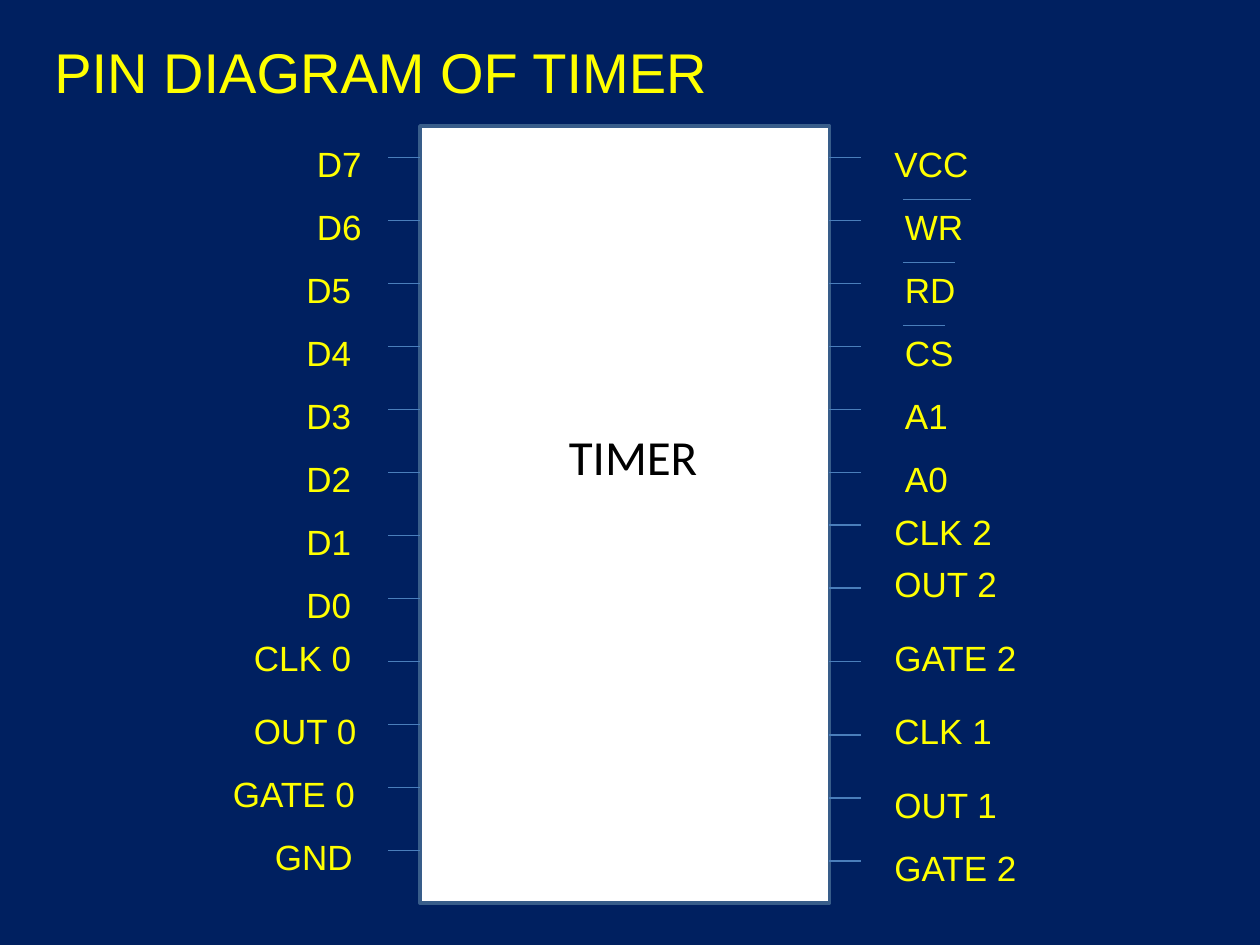
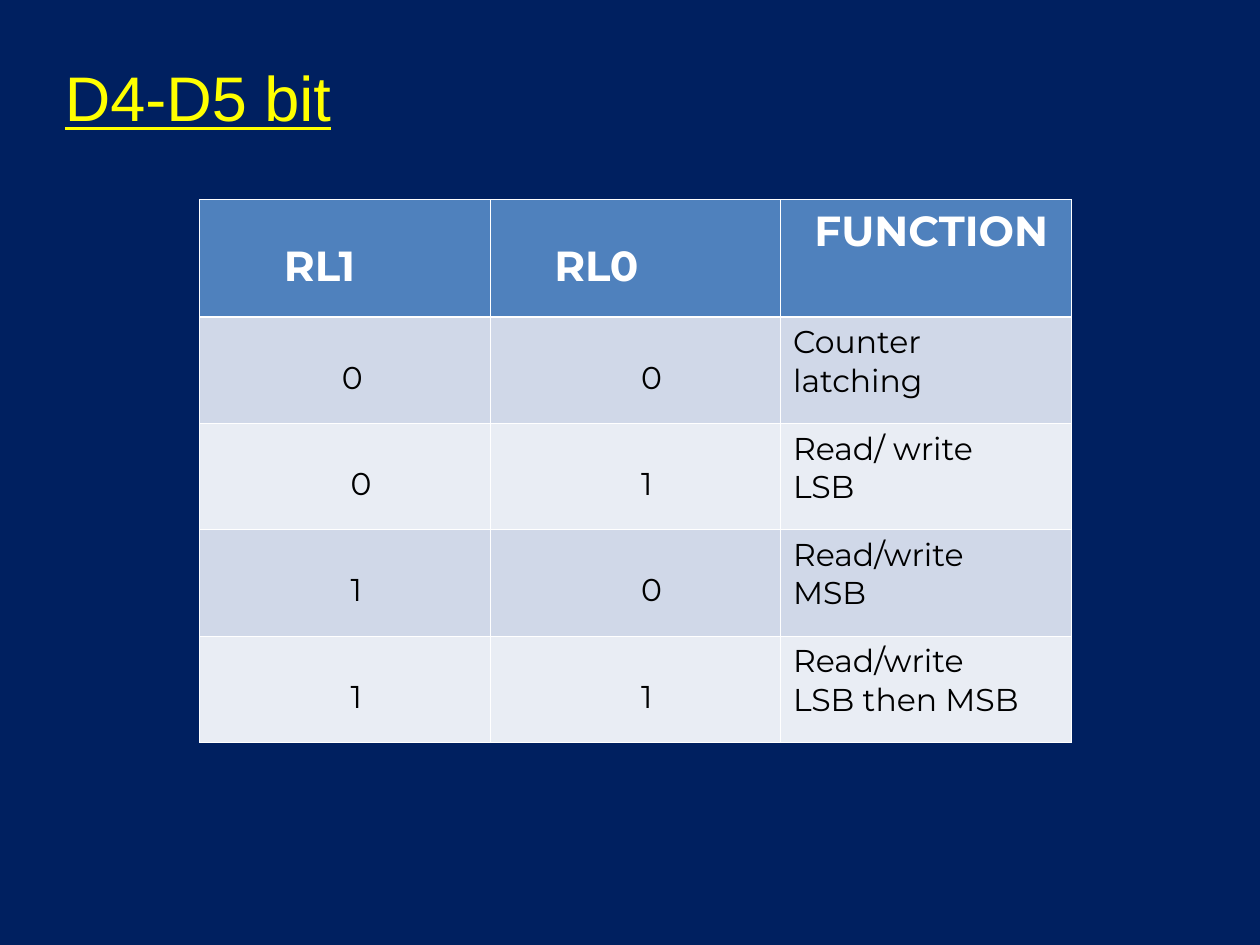
from collections import namedtuple
from dataclasses import dataclass

from lxml import etree
from pptx import Presentation
from pptx.dml.color import RGBColor
from pptx.enum.shapes import MSO_CONNECTOR, MSO_SHAPE
from pptx.enum.text import MSO_AUTO_SIZE
from pptx.oxml.ns import qn
from pptx.util import Inches, Pt

RECT = MSO_SHAPE.RECTANGLE
LINE = MSO_CONNECTOR.STRAIGHT
GROW = MSO_AUTO_SIZE.SHAPE_TO_FIT_TEXT
COLS, ROWS = 120, 90
UNIT = Inches(10) / COLS

Box = namedtuple("Box", "x y w h")


@dataclass(frozen=True)
class Theme:
    """Colours, fonts and type sizes of the deck."""
    back: str = "002060"
    text: str = "FFFF00"
    white: str = "FFFFFF"
    black: str = "000000"
    edge: str = "385D8A"
    wire: str = "4A7EBB"
    head: str = "4F81BD"
    bands: tuple = ("D0D8E8", "E9EDF4")
    sans: str = "Arial"
    chip: str = "Calibri"
    grid: str = "Montserrat"
    title: int = 32
    large: int = 36
    mark: int = 28
    label: int = 20
    top: int = 24
    body: int = 18
    thin: float = 0.45
    thick: float = 1.47


T = Theme()

LEFT = [("D7", -11, 1, 8), ("D6", -11, 7, 8), ("D5", -12, 13, 8),
        ("D4", -12, 19, 8), ("D3", -12, 25, 8), ("D2", -12, 31, 8),
        ("D1", -12, 37, 8), ("D0", -12, 43, 8), ("CLK 0", -17, 48, 16),
        ("OUT 0", -17, 55, 13), ("GATE 0", -19, 61, 16), ("GND", -15, 67, 13)]
RIGHT = [("VCC", 5, 1), ("WR", 6, 7), ("RD", 6, 13), ("CS", 6, 19),
         ("A1", 6, 25), ("A0", 6, 31), ("CLK 2", 5, 36), ("OUT 2", 5, 41),
         ("GATE 2", 5, 48), ("CLK 1", 5, 55), ("OUT 1", 5, 62), ("GATE 2", 5, 68)]
RIGHT_PINS = [3, 9, 15, 21, 27, 33, 38, 44, 51, 58, 64, 70]
BARS = {"WR": 6.5, "RD": 5, "CS": 4}

HEAD = [("RL1", 0.67, 0.33), ("RL0", 0.51, 0.33), ("FUNCTION", 0.27, 0.05)]
BODY = [("0", "0", "Counter\nlatching"), ("0", "1", "Read/ write\nLSB"),
        ("1", "0", "Read/write\nMSB"), ("1", "1", "Read/write\nLSB then MSB")]


def rgb(code):
    """Return a colour object for a hex code."""
    return RGBColor.from_string(code)


def units(*sizes):
    """Turn grid units into slide lengths."""
    return [round(size * UNIT) for size in sizes]


def style(par, size, face, color, bold=False, under=False):
    """Set the font of a paragraph."""
    font = par.font
    font.size, font.name, font.bold, font.underline = Pt(size), face, bold, under
    font.color.rgb = rgb(color)


def write(slide, box, text, size, face=T.sans, color=T.text, under=False):
    """Add a one-line text box."""
    frame = slide.shapes.add_textbox(*units(*box)).text_frame
    frame.word_wrap, frame.auto_size = True, GROW
    frame.text = text
    style(frame.paragraphs[0], size, face, color, under=under)


def wire(slide, x, y, length):
    """Draw a thin level line."""
    line = slide.shapes.add_connector(LINE, *units(x, y, x + length, y))
    line.line.color.rgb = rgb(T.wire)
    line.line.width = Pt(0.75)
    etree.SubElement(line._element.spPr, qn("a:effectLst"))


def chip(slide, box):
    """Draw the chip body with its name."""
    body = slide.shapes.add_shape(RECT, *units(*box))
    body.shadow.inherit = False
    body.fill.solid()
    body.fill.fore_color.rgb = rgb(T.white)
    body.line.color.rgb = rgb(T.edge)
    body.line.width = Pt(2)
    write(slide, Box(box.x + box.w / 3, box.y + 28, 22, 6.8), "TIMER",
          T.mark, T.chip, T.black)


def left_side(slide, box):
    """Place the pins and labels left of the chip."""
    for i, (name, dx, dy, wide) in enumerate(LEFT):
        wire(slide, box.x - 3, box.y + 3 + 6 * i, 3)
        write(slide, Box(box.x + dx, box.y + dy, wide, 5.25), name, T.label)


def right_side(slide, box):
    """Place the pins, labels and overbars right of the chip."""
    edge = box.x + box.w
    for (name, dx, dy), pin in zip(RIGHT, RIGHT_PINS):
        wire(slide, edge, box.y + pin, 3)
        write(slide, Box(edge + dx, box.y + dy, 15, 5.25), name, T.label)
        if name in BARS:
            wire(slide, edge + 7, box.y + dy, BARS[name])


def border(cell, sides):
    """Draw white borders, given the width of each side."""
    props = cell._tc.get_or_add_tcPr()
    for i, (side, width) in enumerate(sides.items()):
        line = etree.Element(qn("a:ln" + side), w=str(Pt(width)))
        fill = etree.SubElement(line, qn("a:solidFill"))
        etree.SubElement(fill, qn("a:srgbClr"), val=T.white)
        props.insert(i, line)


def fill_cell(cell, text, left, top, fill, font, sides):
    """Fill in one cell with its text, insets, colour and borders."""
    cell.margin_left, cell.margin_top = Inches(left), Inches(top)
    cell.fill.solid()
    cell.fill.fore_color.rgb = rgb(fill)
    cell.text = text
    for par in cell.text_frame.paragraphs:
        style(par, *font)
    border(cell, sides)


def bit_table(slide, box):
    """Build the table of bit values and functions."""
    table = slide.shapes.add_table(len(BODY) + 1, len(HEAD), *units(*box)).table
    for col in table.columns:
        col.width = units(box.w / len(HEAD))[0]
    first = 11.2
    for r, row in enumerate(table.rows):
        row.height = units((box.h - first) / len(BODY) if r else first)[0]
    sides = dict.fromkeys("LRTB", T.thin)
    for c, (text, left, top) in enumerate(HEAD):
        fill_cell(table.cell(0, c), text, left, top, T.head,
                  (T.top, T.grid, T.white, True), {**sides, "B": T.thick})
    for r, texts in enumerate(BODY):
        edges = sides if r else {**sides, "T": T.thick}
        for c, text in enumerate(texts):
            left, top = (0.1, 0.05) if c == 2 else (1.2, 0.33)
            if r == c == 0:
                left = 1.13
            fill_cell(table.cell(r + 1, c), text, left, top, T.bands[r % 2],
                      (T.body, T.grid, T.black), edges)


def new_slide(deck):
    """Add a blank slide with the deck background."""
    slide = deck.slides.add_slide(deck.slide_layouts[6])
    slide.background.fill.solid()
    slide.background.fill.fore_color.rgb = rgb(T.back)
    return slide


def pin_slide(deck):
    """Build the pin diagram slide."""
    slide = new_slide(deck)
    box = Box(40, 12, 39, 74)
    for part in (chip, left_side, right_side):
        part(slide, box)
    write(slide, Box(4, 3, 110, 7.7), "PIN DIAGRAM OF TIMER", T.title)


def bit_slide(deck):
    """Build the bit table slide."""
    slide = new_slide(deck)
    write(slide, Box(5, 5, 62, 8.4), "D4-D5 bit", T.large, under=True)
    bit_table(slide, Box(19, 19, 83, 51.7))


def main():
    """Build and save the deck."""
    deck = Presentation()
    deck.slide_width, deck.slide_height = units(COLS, ROWS)
    pin_slide(deck)
    bit_slide(deck)
    deck.save("out.pptx")


if __name__ == "__main__":
    main()
